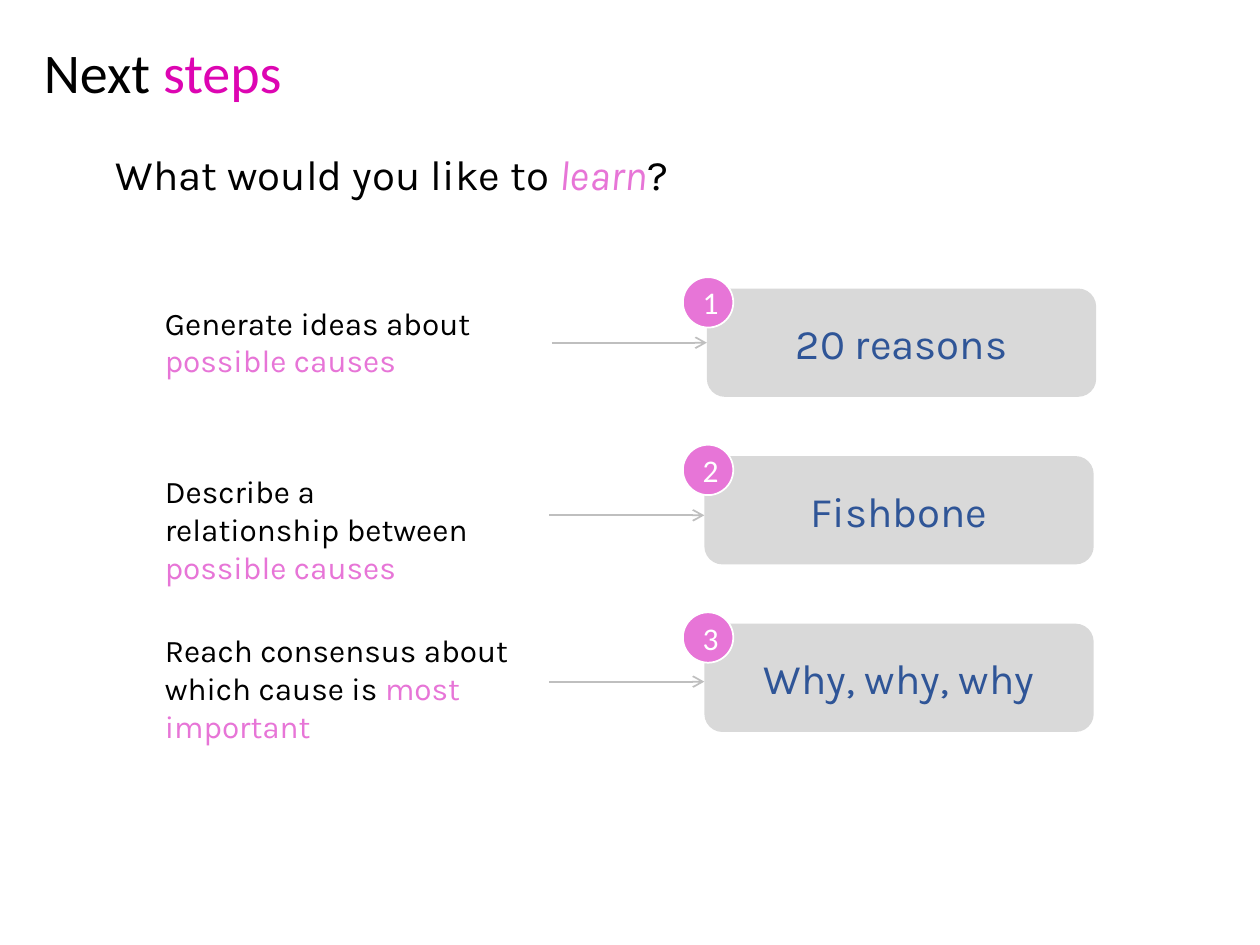
from pptx import Presentation
from pptx.dml.color import RGBColor
from pptx.enum.shapes import MSO_CONNECTOR, MSO_SHAPE
from pptx.enum.text import MSO_ANCHOR, MSO_AUTO_SIZE, PP_ALIGN
from pptx.oxml.ns import qn
from pptx.util import Inches, Pt
from lxml import etree

ROUNDED, OVAL = MSO_SHAPE.ROUNDED_RECTANGLE, MSO_SHAPE.OVAL
STRAIGHT = MSO_CONNECTOR.STRAIGHT
MIDDLE, CENTER = MSO_ANCHOR.MIDDLE, PP_ALIGN.CENTER
GROW = MSO_AUTO_SIZE.SHAPE_TO_FIT_TEXT

BLACK = RGBColor(0x00, 0x00, 0x00)
WHITE = RGBColor(0xFF, 0xFF, 0xFF)
MAGENTA = RGBColor(0xDD, 0x05, 0xB2)
PINK = RGBColor(0xE7, 0x75, 0xD7)
BLUE = RGBColor(0x2F, 0x55, 0x97)
LIGHT_GRAY = RGBColor(0xD9, 0xD9, 0xD9)
ARROW_GRAY = RGBColor(0xBF, 0xBF, 0xBF)


def add_text(shapes, place, runs, size, font):
    """Add a wrapping text box; runs are (text, colour, italic)."""
    box = shapes.add_textbox(*[Inches(value) for value in place])
    box.text_frame.word_wrap = True
    box.text_frame.auto_size = GROW
    para = box.text_frame.paragraphs[0]
    for text, color, italic in runs:
        span = para.add_run()
        span.text = text
        span.font.size, span.font.name = Pt(size), font
        span.font.color.rgb = color
        span.font.italic = italic


def add_label(shapes, kind, place, fill, text, size, font, color):
    """Add a filled shape with centred text."""
    shape = shapes.add_shape(kind, *[Inches(value) for value in place])
    shape.shadow.inherit = False
    shape.fill.solid()
    shape.fill.fore_color.rgb = fill
    shape.line.fill.background()
    shape.text_frame.vertical_anchor = MIDDLE
    para = shape.text_frame.paragraphs[0]
    para.alignment = CENTER
    span = para.add_run()
    span.text = text
    span.font.size, span.font.name = Pt(size), font
    span.font.color.rgb = color
    return shape


deck = Presentation()
deck.slide_width, deck.slide_height = Inches(10), Inches(7.5)
page = deck.slides.add_slide(deck.slide_layouts[6])

# Title and question
add_text(page.shapes, (0.25, 0.25, 3.66, 0.64),
         [("Next ", BLACK, False), ("steps", MAGENTA, False)], 32, "Calibri")
add_text(page.shapes, (0.82, 1.13, 6.75, 0.5),
         [("What would you like to ", BLACK, False), ("learn", PINK, True),
          ("?", BLACK, False)], 24, "Karla")

# Steps: tool, goal, highlighted goal, goal box (top, width, height),
# tool left edge, arrow height
steps = [
    ("20 reasons", "Generate ideas about ", "possible causes",
     (2.36, 3.18, 0.71), 5.61, 2.72),
    ("Fishbone", "Describe a relationship between ", "possible causes",
     (3.7, 2.79, 0.71), 5.59, 4.09),
    ("Why, why, why", "Reach consensus about which cause is ", "most important",
     (4.96, 3.16, 1.01), 5.59, 5.41),
]
FIRST_TOP, STEP_PITCH = 2.2, 1.33

for index, (tool, goal, highlight, goal_place, left, arrow_y) in enumerate(steps):
    top = FIRST_TOP + index * STEP_PITCH

    # Tool box with its number badge
    group = page.shapes.add_group_shape()
    add_label(group.shapes, ROUNDED, (left, top + 0.09, 3.09, 0.86),
              LIGHT_GRAY, tool, 24, "Karla", BLUE)
    badge = add_label(group.shapes, OVAL, (5.42, top, 0.4, 0.4),
                      PINK, str(index + 1), 18, "Calibri", WHITE)
    badge.line.color.rgb = WHITE
    badge.line.width = Pt(1)

    # Goal
    add_text(page.shapes, (1.21, *goal_place),
             [(goal, BLACK, False), (highlight, PINK, False)], 18, "Karla")

    # Arrow from goal to tool
    arrow = page.shapes.add_connector(
        STRAIGHT, Inches(left - 1.23), Inches(arrow_y), Inches(left), Inches(arrow_y))
    arrow.line.color.rgb = ARROW_GRAY
    arrow.line.width = Pt(1)
    etree.SubElement(arrow.line._get_or_add_ln(), qn("a:tailEnd"), type="arrow")
    etree.SubElement(arrow._element.spPr, qn("a:effectLst"))

deck.save("out.pptx")
